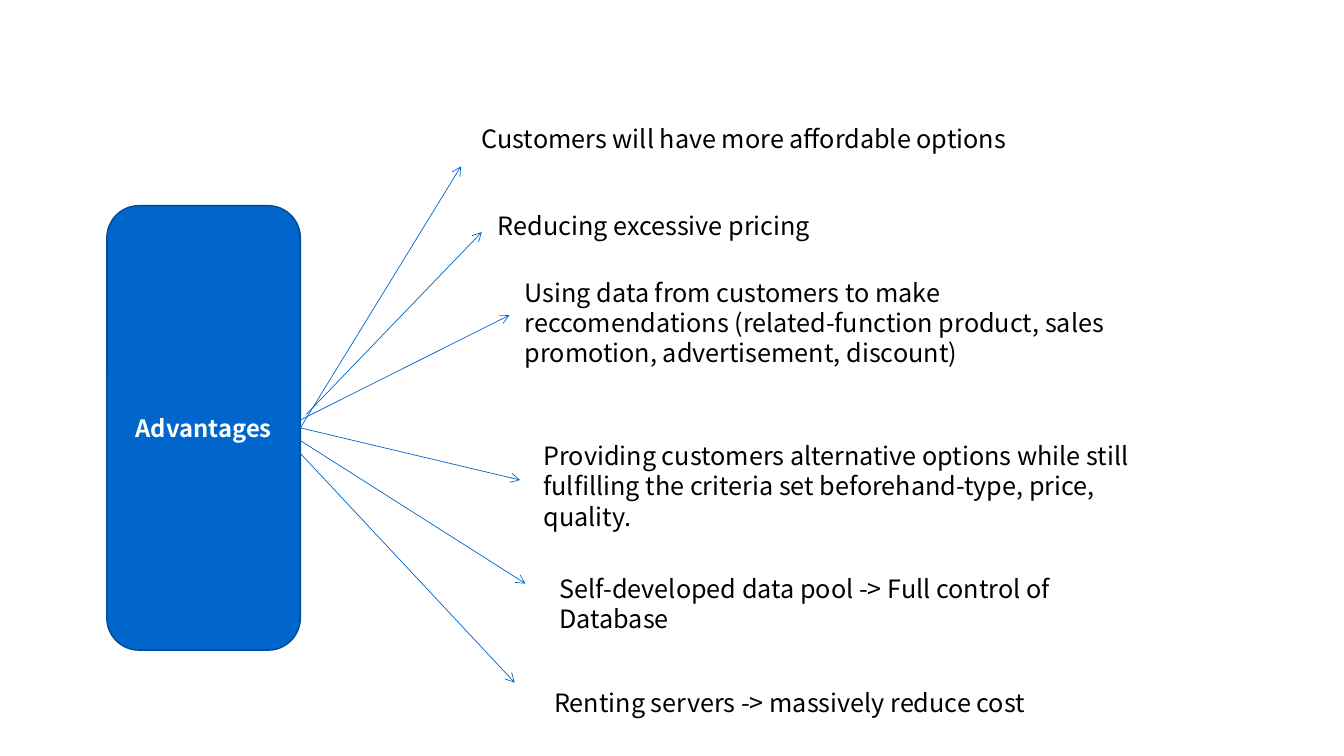
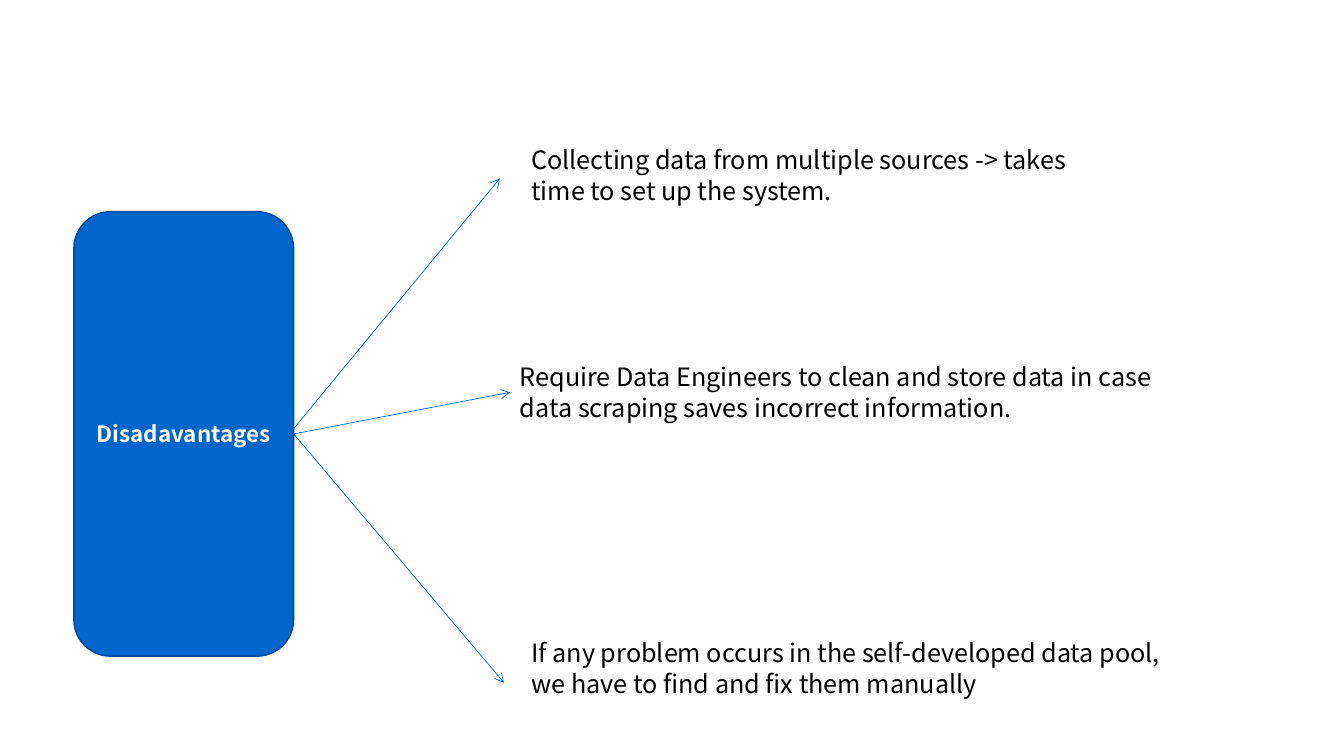
from pptx import Presentation
from pptx.dml.color import RGBColor
from pptx.enum.shapes import MSO_CONNECTOR, MSO_SHAPE
from pptx.enum.text import MSO_ANCHOR, MSO_AUTO_SIZE, PP_ALIGN
from pptx.oxml.ns import qn
from pptx.util import Inches, Pt
from lxml.etree import SubElement

WIDE, HIGH = Inches(13.33), Inches(7.5)
FONT = "Noto Sans CJK TC"
BLUE, EDGE, WHITE, BLACK = "0066CC", "004B97", "FFFFFF", "000000"
MID = None  # arrow start: middle of the box's right side

# All places are percentages of the slide's width and height.
# box: title, text size, left, top, width
# points: text, lines, (left, top, width), arrow start, arrow end
SLIDES = [
    {
        "box": ("Advantages", 17, 7.95, 27.2, 14.4),
        "points": [
            ("Customers will have more affordable options",
             1, (35.1, 15.6, 48.3), MID, (34.3, 22)),
            ("Reducing excessive pricing",
             1, (36.3, 27.2, 47.7), (22.8, 54.8), (35.85, 30.7)),
            ("Using data from customers to make reccomendations "
             "(related-function product, sales promotion, advertisement, discount)",
             3, (38.3, 36, 46.65), (22.3, 55.6), (37.9, 41.7)),
            ("Providing customers alternative options while still "
             "fulfilling the criteria set beforehand-type, price, quality.",
             3, (39.7, 57.6, 45.9), MID, (38.7, 63.5)),
            ("Self-developed data pool -> Full control of Database",
             2, (40.9, 75.2, 44.55), (22.1, 58), (39.1, 77.2)),
            ("Renting servers -> massively reduce cost",
             1, (40.5, 90.3, 44.9), (22.1, 59.5), (38.3, 90.3)),
        ],
    },
    {
        "box": ("Disadavantages", 16, 5.5, 28, 16.35),
        "points": [
            ("Collecting data from multiple sources -> takes time "
             "to set up the system.",
             2, (38.8, 18.5, 42.75), (21.85, 56.7), (37.2, 23.6)),
            ("Require Data Engineers to clean and store data in case "
             "data scraping saves incorrect information.",
             2, (37.95, 47.2, 49), MID, (37.95, 51.9)),
            ("If any problem occurs in the self-developed data pool, "
             "we have to find and fix them manually",
             2, (38.8, 83.7, 50), MID, (37.5, 90.3)),
        ],
    },
]
BOX_HIGH = 58.8


def across(share):
    return round(WIDE * share / 100)


def down(share):
    return round(HIGH * share / 100)


def color(code):
    return RGBColor.from_string(code)


def write(para, text, size, code, bold=False):
    run = para.add_run()
    run.text = text
    font = run.font
    font.name, font.size, font.bold = FONT, Pt(size), bold
    font.color.rgb = color(code)


def add_box(slide, title, size, left, top, width):
    box = slide.shapes.add_shape(
        MSO_SHAPE.ROUNDED_RECTANGLE,
        across(left), down(top), across(width), down(BOX_HIGH))
    box.shadow.inherit = False
    box.fill.solid()
    box.fill.fore_color.rgb = color(BLUE)
    box.line.color.rgb = color(EDGE)
    box.line.width = Pt(1)
    frame = box.text_frame
    frame.vertical_anchor = MSO_ANCHOR.MIDDLE
    para = frame.paragraphs[0]
    para.alignment = PP_ALIGN.CENTER
    write(para, title, size, WHITE, True)
    return box


def add_arrow(slide, box, start, end):
    x, y = start or (0, 0)
    arrow = slide.shapes.add_connector(
        MSO_CONNECTOR.STRAIGHT,
        across(x), down(y), across(end[0]), down(end[1]))
    if start is MID:
        arrow.begin_connect(box, 3)
    arrow.line.color.rgb = color(BLUE)
    arrow.line.width = Pt(0.5)
    props = arrow.element.spPr
    SubElement(props.get_or_add_ln(), qn("a:tailEnd"), type="arrow")
    SubElement(props, qn("a:effectLst"))


def add_note(slide, text, lines, place):
    left, top, width = place
    note = slide.shapes.add_textbox(
        across(left), down(top), across(width), Inches(0.1 + 0.3 * lines))
    frame = note.text_frame
    frame.word_wrap = True
    frame.auto_size = MSO_AUTO_SIZE.SHAPE_TO_FIT_TEXT
    para = frame.paragraphs[0]
    para.line_spacing = Pt(21.6)
    write(para, text, 18, BLACK)


def main():
    deck = Presentation()
    deck.slide_width, deck.slide_height = WIDE, HIGH
    blank = deck.slide_layouts[6]
    for page in SLIDES:
        slide = deck.slides.add_slide(blank)
        box = add_box(slide, *page["box"])
        for text, lines, place, start, end in page["points"]:
            add_arrow(slide, box, start, end)
            add_note(slide, text, lines, place)
    deck.save("out.pptx")


if __name__ == "__main__":
    main()
